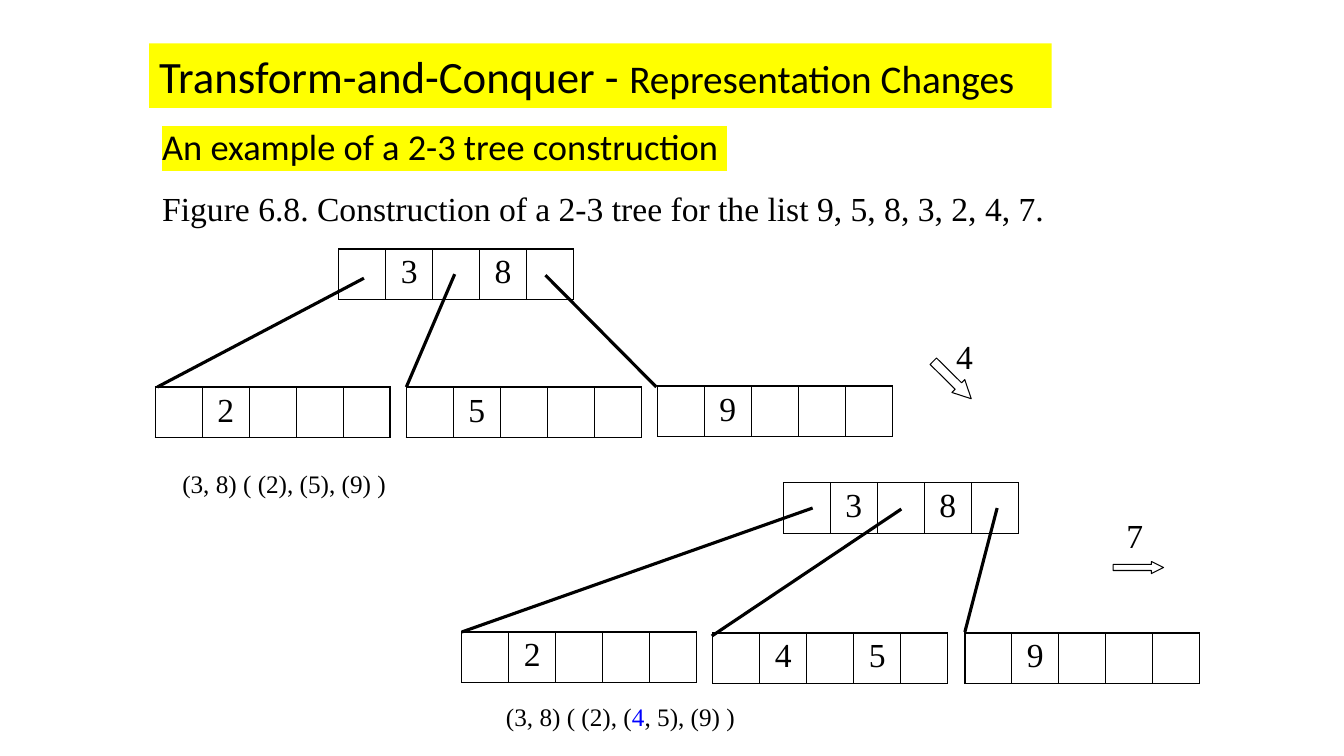
from lxml import etree
from pptx import Presentation
from pptx.dml.color import RGBColor
from pptx.enum.shapes import MSO_CONNECTOR as CONN, MSO_SHAPE as SHAPE
from pptx.enum.text import MSO_ANCHOR as ANCHOR, PP_ALIGN as ALIGN
from pptx.oxml.ns import qn
from pptx.util import Pt

PX = 9144  # 100 px to the inch
COLORS = {"black": "000000", "white": "FFFFFF", "yellow": "FFFF00", "blue": "0000FF"}
SANS, SERIF = "Calibri", "Times New Roman"
NODE_W, NODE_H, NODE_CELLS = 233, 50, 5


def px(*lengths):
    return [n * PX for n in lengths]


def rgb(name):
    return RGBColor.from_string(COLORS[name])


def style_font(font, size, name, color="black"):
    font.size, font.name = Pt(size), name
    font.color.rgb = rgb(color)


def highlight(r, color):
    style_font(r.font, 26, SANS)
    mark = etree.Element(qn("a:highlight"))
    etree.SubElement(mark, qn("a:srgbClr"), val=COLORS[color])
    r.font._element.find(qn("a:solidFill")).addnext(mark)


def add_text(s, box, text, size, align=ALIGN.LEFT):
    """Add a serif text box and return its first paragraph."""
    tf = s.shapes.add_textbox(*px(*box)).text_frame
    tf.word_wrap = True
    p = tf.paragraphs[0]
    p.alignment = align
    style_font(p.font, size, SERIF)
    p.add_run().text = text
    return p


def add_title(s):
    sp = s.shapes.add_shape(SHAPE.RECTANGLE, *px(148, 43, 895, 64))
    sp.shadow.inherit = False
    sp.fill.solid()
    sp.fill.fore_color.rgb = rgb("yellow")
    sp.line.fill.background()
    tf = sp.text_frame
    tf.word_wrap = True
    tf.vertical_anchor = ANCHOR.TOP
    p = tf.paragraphs[0]
    p.alignment = ALIGN.LEFT
    for text, size in (("Transform-and-Conquer - ", 32), ("Representation Changes", 28)):
        r = p.add_run()
        r.text = text
        style_font(r.font, size, SANS)


def add_intro(s):
    tf = s.shapes.add_textbox(*px(151, 97, 971, 129)).text_frame
    tf.word_wrap = True
    heading, caption = tf.paragraphs[0], tf.add_paragraph()
    heading.line_spacing = caption.line_spacing = 1.5
    r = heading.add_run()
    r.text = "An example of a 2-3 tree construction "
    highlight(r, "yellow")
    caption.text = "Figure 6.8. Construction of a 2-3 tree for the list 9, 5, 8, 3, 2, 4, 7."
    style_font(caption.font, 24, SERIF)


def add_block_arrow(s, box, rotation=0):
    sp = s.shapes.add_shape(SHAPE.RIGHT_ARROW, *px(*box))
    sp.shadow.inherit = False
    sp.adjustments[0], sp.adjustments[1] = 0.5, 1
    sp.rotation = rotation
    sp.fill.solid()
    sp.fill.fore_color.rgb = rgb("white")
    sp.line.color.rgb = rgb("black")
    sp.line.width = Pt(0.75)


def add_borders(cell):
    props = cell._tc.get_or_add_tcPr()
    for i, side in enumerate(("lnL", "lnR", "lnT", "lnB")):
        ln = etree.Element(qn(f"a:{side}"), w=str(Pt(1)))
        fill = etree.SubElement(ln, qn("a:solidFill"))
        etree.SubElement(fill, qn("a:srgbClr"), val=COLORS["black"])
        props.insert(i, ln)


def add_node(s, x, y, keys):
    """Draw a tree node; keys fill every second cell, between the child links."""
    table = s.shapes.add_table(1, NODE_CELLS, *px(x, y, NODE_W, NODE_H)).table
    table.first_row = table.horz_banding = False
    for column in table.columns:
        column.width = NODE_W * PX // NODE_CELLS
    for i, cell in enumerate(table.iter_cells()):
        cell.fill.solid()
        cell.fill.fore_color.rgb = rgb("white")
        add_borders(cell)
        p = cell.text_frame.paragraphs[0]
        p.alignment = ALIGN.CENTER
        if i % 2 and i // 2 < len(keys):
            p.text = keys[i // 2]
        style_font(p.font, 24, SERIF)


def add_edge(s, start, end):
    line = s.shapes.add_connector(CONN.STRAIGHT, *px(*start, *end))
    line.line.color.rgb = rgb("black")
    line.line.width = Pt(2.25)
    etree.SubElement(line._element.spPr, qn("a:effectLst"))


def add_tree(s, nodes, edges):
    for node in nodes:
        add_node(s, *node)
    for start, end in edges:
        add_edge(s, start, end)


def main():
    prs = Presentation()
    prs.slide_width, prs.slide_height = px(1333, 750)
    s = prs.slides.add_slide(prs.slide_layouts[6])
    add_intro(s)
    add_block_arrow(s, (1104, 557, 50, 12))
    add_block_arrow(s, (918, 368, 53, 18), 44.7)
    add_text(s, (1098, 506, 55, 50), "7", 24, ALIGN.CENTER)
    add_text(s, (929, 328, 55, 50), "4", 24, ALIGN.CENTER)
    add_tree(
        s,
        [(336, 247, "38"), (154, 384, "2"), (403, 384, "5"), (652, 383, "9")],
        [((361, 276), (156, 384)), ((451, 272), (403, 384)), ((541, 273), (651, 384))],
    )
    add_tree(
        s,
        [(777, 479, "38"), (458, 627, "2"), (707, 628, "45"), (957, 628, "9")],
        [((806, 504), (458, 627)), ((894, 505), (706, 631)), ((989, 504), (957, 627))],
    )
    add_title(s)
    add_text(s, (171, 460, 440, 40), "(3, 8) ( (2), (5), (9) )", 18)
    p = add_text(s, (492, 691, 446, 40), "(3, 8) ( (2), (", 18)
    inserted = p.add_run()
    inserted.text = "4"
    inserted.font.color.rgb = rgb("blue")
    p.add_run().text = ", 5), (9) )"
    prs.save("out.pptx")


if __name__ == "__main__":
    main()
